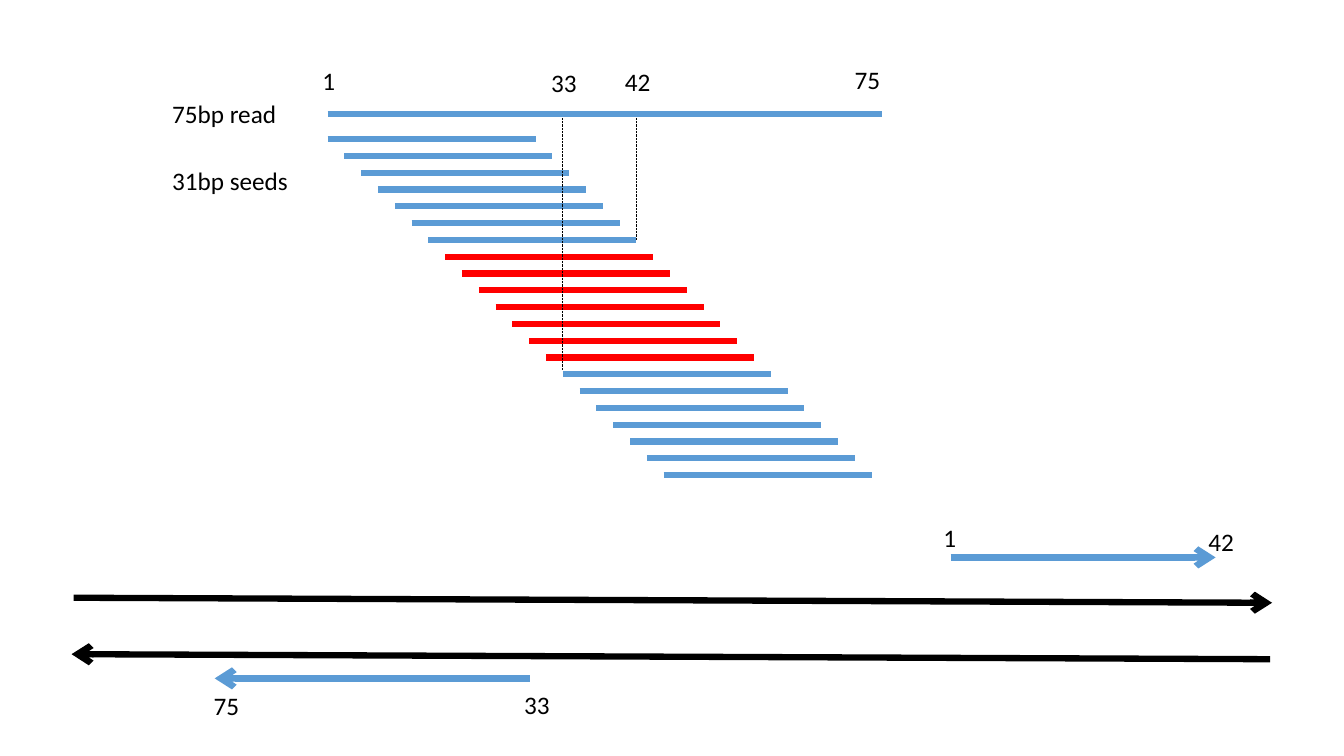
from dataclasses import dataclass

from lxml import etree
from pptx import Presentation
from pptx.dml.color import RGBColor
from pptx.enum.dml import MSO_LINE
from pptx.enum.shapes import MSO_CONNECTOR
from pptx.enum.text import MSO_AUTO_SIZE
from pptx.oxml.ns import qn
from pptx.util import Inches, Pt

STRAIGHT = MSO_CONNECTOR.STRAIGHT
DOTS = MSO_LINE.ROUND_DOT
FIT = MSO_AUTO_SIZE.SHAPE_TO_FIT_TEXT


@dataclass(frozen=True)
class Theme:
    """Colours, font, type size and line widths."""
    blue: str = "5B9BD5"
    red: str = "FF0000"
    black: str = "000000"
    font: str = "Calibri"
    size: float = 18
    thick: float = 4.5
    thin: float = 0.5


THEME = Theme()
COLS, ROWS = 80, 45
deck = Presentation()
deck.slide_width, deck.slide_height = Inches(13.33), Inches(7.5)
COL, ROW = deck.slide_width / COLS, deck.slide_height / ROWS


def place(box, x, y):
    """Turn columns and rows within a box into slide lengths."""
    return round((box[0] + x) * COL), round((box[1] + y) * ROW)


def rule(slide, box, start, end, color=THEME.blue, width=THEME.thick,
         dash=None, arrow=None):
    """Draw a line; arrow is "headEnd" (at start) or "tailEnd" (at end)."""
    link = slide.shapes.add_connector(STRAIGHT, *place(box, *start),
                                      *place(box, *end))
    line = link.line
    line.color.rgb = RGBColor.from_string(color)
    line.width = Pt(width)
    if dash:
        line.dash_style = dash
    props = link._element.spPr
    if arrow:
        etree.SubElement(props.find(qn("a:ln")), qn(f"a:{arrow}"), type="arrow")
    etree.SubElement(props, qn("a:effectLst"))


def label(slide, box, text, x, y, width=2.76, wrap=False, color=THEME.black,
          size=THEME.size):
    """Write one line of text, its frame's top left at x, y."""
    frame = slide.shapes.add_textbox(*place(box, x, y), round(width * COL),
                                     round(2.42 * ROW)).text_frame
    frame.word_wrap = wrap
    frame.auto_size = FIT
    run = frame.paragraphs[0].add_run()
    run.text = text
    run.font.name = THEME.font
    run.font.size = Pt(size)
    run.font.color.rgb = RGBColor.from_string(color)


def seeds(slide, box):
    """Draw the read, its staircase of seeds and the two position guides."""
    left, top, span = 9.84, 3.24, 12.38
    first = top + 1.5
    rule(slide, box, (left, top), (box[2], top))
    for i in range(21):
        x, y = left + i, first + i
        color = THEME.red if 7 <= i < 14 else THEME.blue
        rule(slide, box, (x, y), (x + span, y), color)
    for x, y in ((left + 6 + span, first + 6), (left + 14, first + 13.74)):
        rule(slide, box, (x, top + 0.24), (x, y), THEME.black, THEME.thin, DOTS)
    for text, x, y, width in (
            ("1", 8.94, 0.06, 1.98), ("33", 22.56, 0.18, 2.76),
            ("42", 26.94, 0.12, 2.76), ("75", 40.62, 0, 2.76),
            ("75bp read", 0, 2.04, 7.5), ("31bp seeds", 0, 6, 8.16)):
        label(slide, box, text, x, y, width)


def strands(slide, box):
    """Draw the two strands and the read parts that map to them."""
    right = box[2]
    for start, end, color, arrow in (
            ((0.12, 4.8), (right, 5.1), THEME.black, "tailEnd"),
            ((0, 8.16), (right - 0.12, 8.46), THEME.black, "headEnd"),
            ((52.32, 2.4), (68.1, 2.4), THEME.blue, "tailEnd"),
            ((8.52, 9.6), (27.3, 9.6), THEME.blue, "headEnd")):
        rule(slide, box, start, end, color, arrow=arrow)
    label(slide, box, "1", 51.3, 0, 1.98)
    label(slide, box, "42", 67.08, 0.24)
    label(slide, box, "33", 26.34, 9.96, 3.24, wrap=True)
    label(slide, box, "75", 7.86, 10.02, 3.24, wrap=True)


page = deck.slides.add_slide(deck.slide_layouts[6])
seeds(page, (9.66, 3.54, 42.84, 24.8))
strands(page, (4.26, 30.78, 71.46, 12.44))
deck.save("out.pptx")
